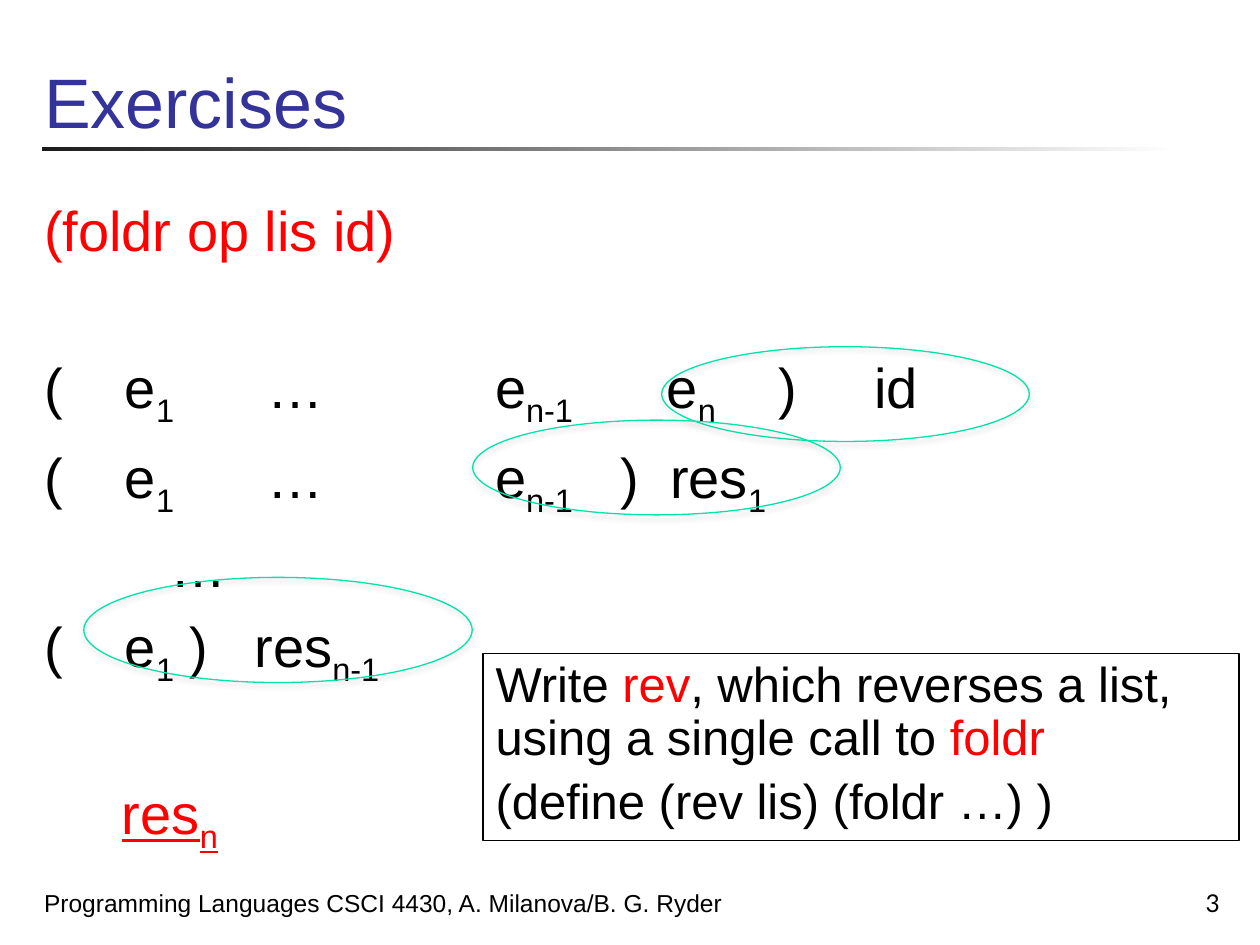
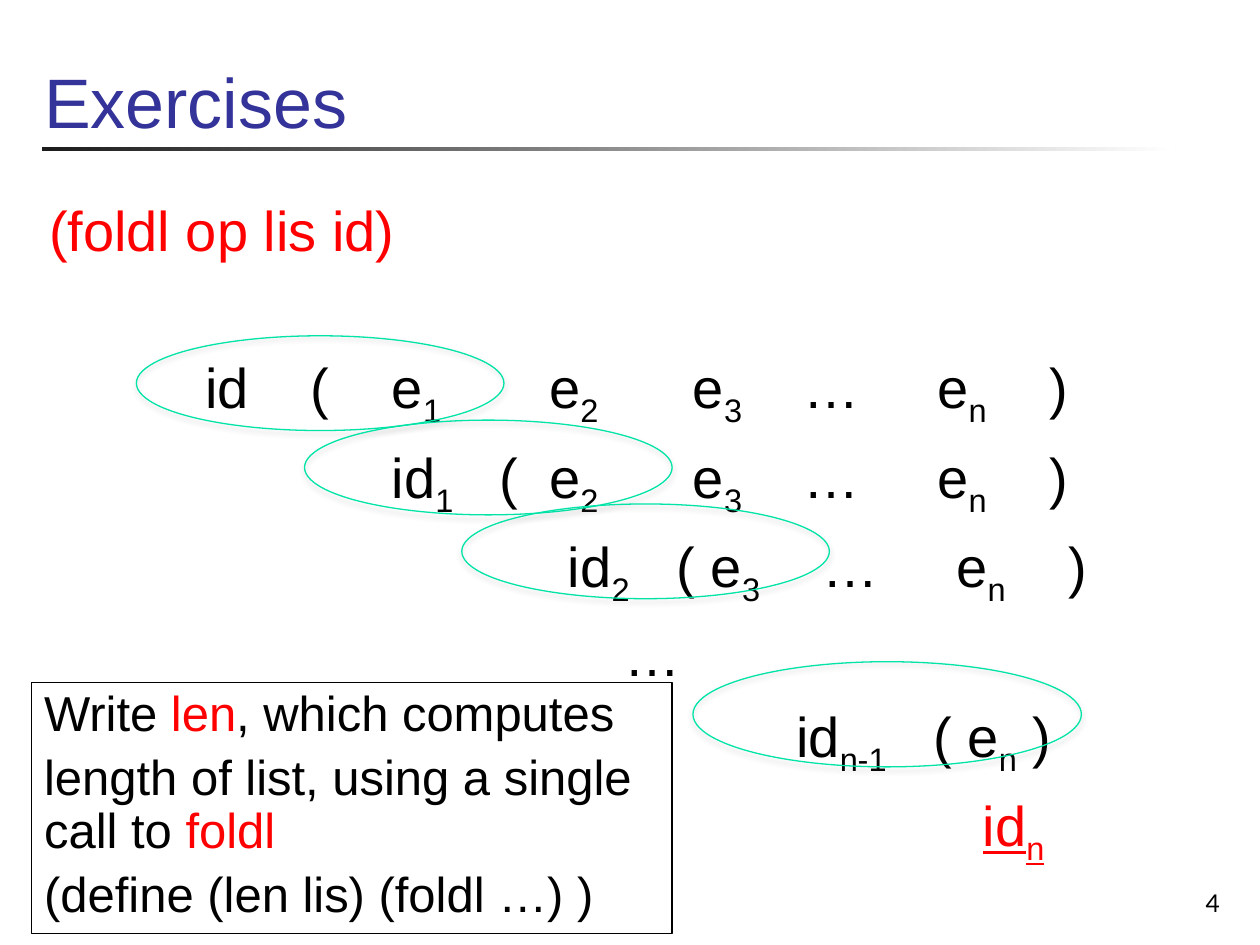
from lxml.etree import SubElement
from pptx import Presentation
from pptx.dml.color import RGBColor
from pptx.enum.shapes import MSO_SHAPE
from pptx.enum.text import MSO_ANCHOR, PP_ALIGN
from pptx.oxml.ns import qn
from pptx.util import Cm, Pt

BLACK = RGBColor(0, 0, 0)
RED = RGBColor(0xFF, 0, 0)
BLUE = RGBColor(0x33, 0x33, 0x99)
GREEN = RGBColor(0, 0xE4, 0xA7)
DARK = RGBColor(0x1C, 0x1C, 0x1C)
WHITE = RGBColor(0xFF, 0xFF, 0xFF)

WIDTH, HEIGHT = 25.4, 19.05
LEFT = 0.64
COURSE = "Programming Languages CSCI 4430, A. Milanova/B. G. Ryder"
GAP = 7.4
SKIP = 51.6


def put(frame, text, size=32, color=BLACK, font="Arial", align=PP_ALIGN.LEFT,
        before=0, line=None, under=None, stops=()):
    """Add a paragraph; braces mark red words and square brackets subscripts."""
    para = frame.paragraphs[0]
    if para.runs:
        para = frame.add_paragraph()
    para.alignment = align
    para.space_before = Pt(before)
    para.line_spacing = line
    if stops:
        tabs = SubElement(para._p.get_or_add_pPr(), qn("a:tabLst"))
        for stop in stops:
            SubElement(tabs, qn("a:tab"), pos=str(Cm(stop)), algn="l")
    for i, part in enumerate(text.replace("}", "{").split("{")):
        for j, piece in enumerate(part.replace("]", "[").split("[")):
            if not piece:
                continue
            run = para.add_run()
            run.text = piece
            run.font.name = font
            run.font.size = Pt(size)
            run.font.underline = under
            run.font.color.rgb = RED if i % 2 else color
            if j % 2:
                run.font._element.set("baseline", "-25000")


def panel(slide, box, anchor=MSO_ANCHOR.TOP):
    """Place a wrapping text box and return it."""
    shape = slide.shapes.add_textbox(*map(Cm, box))
    shape.text_frame.word_wrap = True
    shape.text_frame.vertical_anchor = anchor
    return shape


def label(slide, box, text, **style):
    """Place one line of text on the bottom of its box."""
    put(panel(slide, box, MSO_ANCHOR.BOTTOM).text_frame, text, **style)


def rule(slide, box):
    """Draw the fading bar below the title."""
    bar = slide.shapes.add_shape(MSO_SHAPE.RECTANGLE, *map(Cm, box))
    bar.shadow.inherit = False
    bar.line.fill.background()
    bar.fill.gradient()
    bar.fill.gradient_angle = 0
    for stop, color in zip(bar.fill.gradient_stops, (DARK, WHITE)):
        stop.color.rgb = color


def trace(slide, box, rows):
    """Write the steps of a fold, each with its own tab stops."""
    frame = panel(slide, box).text_frame
    for text, stops, before in rows:
        put(frame, text, stops=stops, before=before, under="{" in text and "\t" in text)


def ring(slide, box):
    """Circle the operands of one step with a soft shadow."""
    oval = slide.shapes.add_shape(MSO_SHAPE.OVAL, *map(Cm, box))
    oval.fill.background()
    oval.line.color.rgb = GREEN
    oval.line.width = Pt(0.75)
    oval.shadow.inherit = False
    effects = oval._element.spPr.find(qn("a:effectLst"))
    shade = SubElement(effects, qn("a:outerShdw"), blurRad=str(Pt(3.1)),
                       dist=str(Pt(1.8)), dir="5400000", rotWithShape="0")
    tint = SubElement(shade, qn("a:srgbClr"), val="808080")
    SubElement(tint, qn("a:alpha"), val="35000")


def task(slide, box, lines):
    """Write the exercise in a framed box."""
    shape = panel(slide, box)
    shape.line.color.rgb = BLACK
    shape.line.width = Pt(0.75)
    for text in lines:
        put(shape.text_frame, text, size=28, before=6.4, line=0.9)


def build(deck, number, shift, rows, rings, box, lines, foot=None):
    """Build one exercise slide."""
    slide = deck.slides.add_slide(deck.slide_layouts[6])
    rule(slide, (0.84, 2.97, 22.86, 0.08))
    trace(slide, (LEFT + shift, 3.81, 24.23, 13.33), rows)
    label(slide, (19.56, 17.35, 5.28, 1.27), number, size=14, font="Lato",
          align=PP_ALIGN.RIGHT)
    for spot in rings:
        ring(slide, spot)
    label(slide, (LEFT, 0.2, 24.18, 2.79), "Exercises", size=40, color=BLUE)
    task(slide, box, lines)
    if foot:
        label(slide, (LEFT, 17.35, 14.4, 1.27), foot, size=14)


deck = Presentation()
deck.slide_width, deck.slide_height = Cm(WIDTH), Cm(HEIGHT)

SMALL = (7.41, 1.91)
LARGE = (7.83, 2.12)
TAIL = (10.08, 12.98, 15.21, 17.91, 20.17)

build(
    deck, "3", 0,
    [("{(foldr op lis id)}", (), 0),
     ("(\te[1]\t…\te[n-1]\te[n]\t)\tid", (1.63, 4.5, 9.09, 12.55, 14.81, 16.74), SKIP),
     ("(\te[1]\t…\te[n-1]\t)\tres[1]", (1.63, 4.5, 9.09, 11.61, 12.62), GAP),
     ("\t…", (2.54,), GAP),
     ("(\te[1] )\tres[n-1]", (1.63, 4.24), GAP),
     ("\t{res[n]}", (1.57,), SKIP)],
    [(13.34, 6.99, *SMALL), (9.53, 8.47, *SMALL), (1.69, 11.64, *LARGE)],
    (9.74, 13.18, 15.24, 3.76),
    ["Write {rev}, which reverses a list, using a single call to {foldr}",
     "(define (rev lis) (foldr …) )"],
    foot=COURSE)

build(
    deck, "4", 0.1,
    [("{(foldl op lis id)}", (), 0),
     ("\tid\t(\te[1]\te[2]\te[3]\t…\te[n]\t)", (3.15, 5.28, 6.91, *TAIL), SKIP),
     ("\tid[1]\t(\te[2]\te[3]\t…\te[n]\t)", (6.91, 9.09, *TAIL), GAP),
     ("\tid[2]\t( e[3]\t…\te[n]\t)", (10.46, 12.65, 15.6, 18.29, 20.55), GAP),
     ("\t…", (11.61,), GAP),
     ("\tid[n-1]\t( e[n] )", (15.06, 17.83), GAP),
     ("\t{id[n]}", (18.82,), GAP)],
    [(2.75, 6.77, *SMALL), (6.14, 8.47, *SMALL), (9.31, 10.16, *SMALL),
     (13.97, 13.34, *LARGE)],
    (LEFT, 13.76, 12.91, 5.06),
    ["Write {len}, which computes",
     "length of list, using a single call to {foldl}",
     "(define (len lis) (foldl …) )"])

deck.save("out.pptx")
